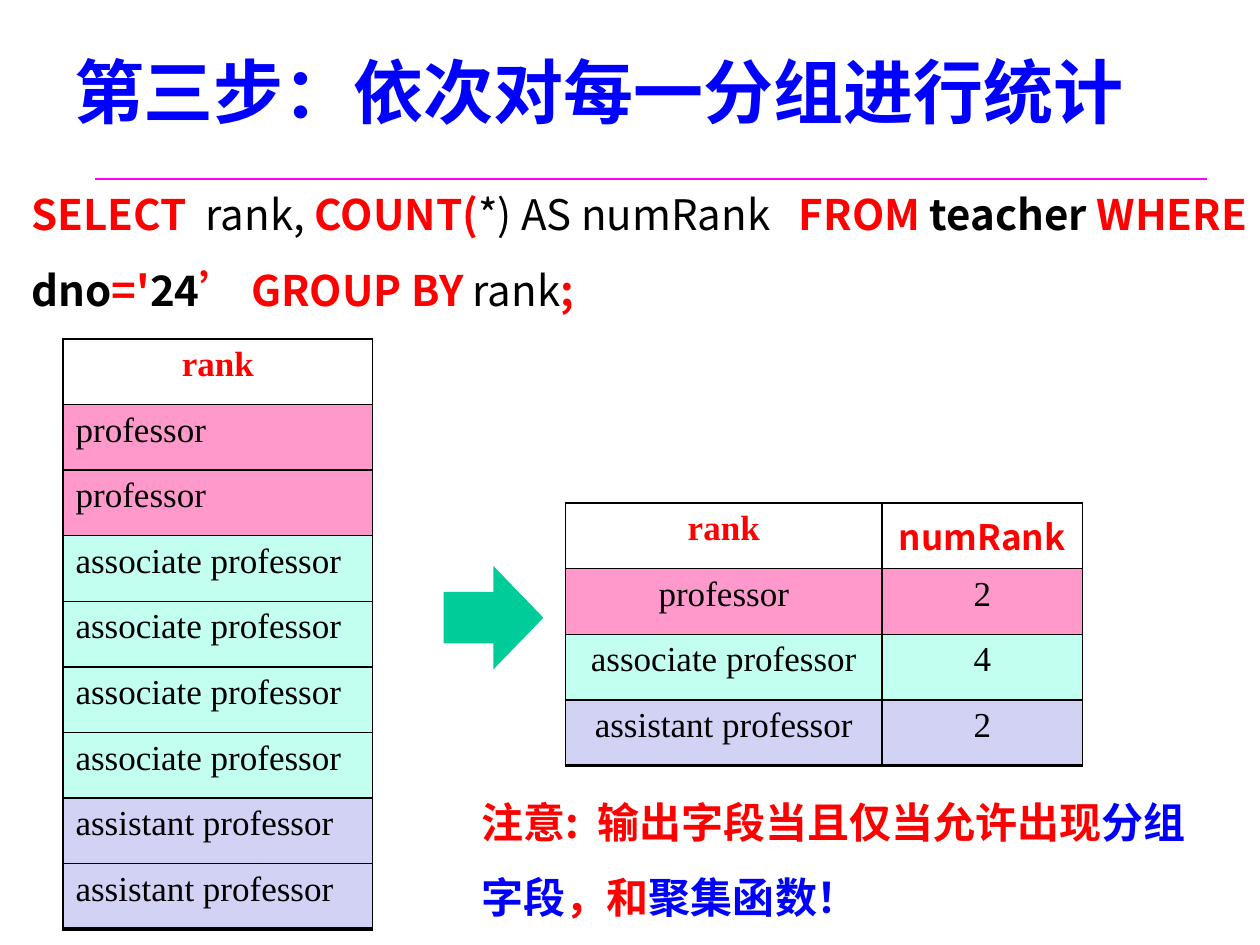
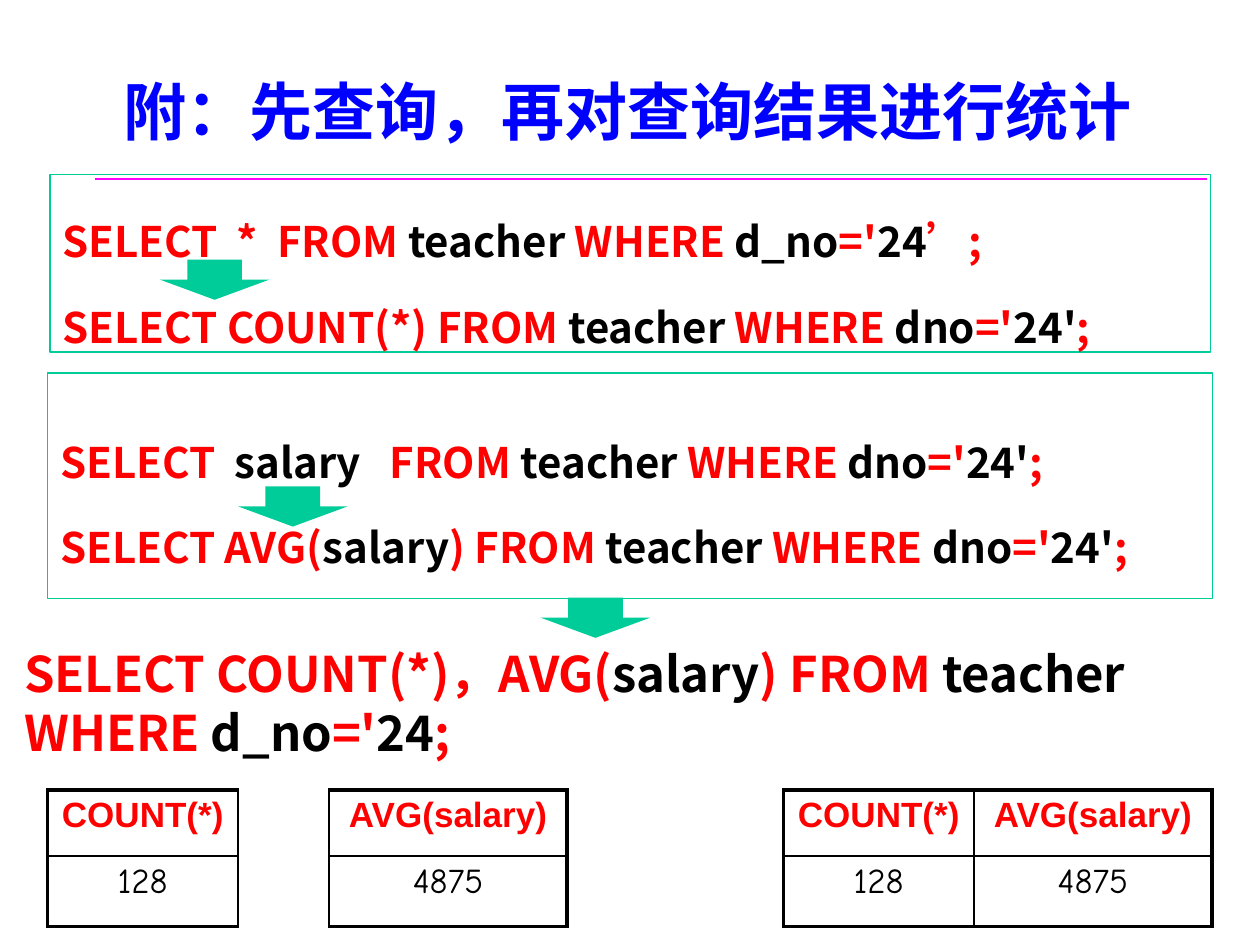
from lxml.etree import SubElement
from pptx import Presentation
from pptx.dml.color import RGBColor
from pptx.enum.shapes import MSO_CONNECTOR, MSO_SHAPE
from pptx.enum.text import MSO_ANCHOR, PP_ALIGN
from pptx.oxml.ns import qn
from pptx.util import Pt

RED = RGBColor(0xFF, 0x00, 0x00)
BLUE = RGBColor(0x00, 0x00, 0xFF)
BLACK = RGBColor(0x00, 0x00, 0x00)
WHITE = RGBColor(0xFF, 0xFF, 0xFF)
GREEN = RGBColor(0x00, 0xCC, 0x99)
MINT = RGBColor(0xC2, 0xFF, 0xF0)
PINK = RGBColor(0xFF, 0x99, 0xCC)
LILAC = RGBColor(0xD2, 0xD2, 0xF4)
MAGENTA = RGBColor(0xFF, 0x00, 0xFF)

SANS = "Noto Sans CJK SC"
SERIF = "Times New Roman"
ARIAL = "Arial"
COMIC = "Comic Neue"
THIN, THICK = 1, 2.25
RANKS = {"professor": (2, PINK), "associate professor": (4, MINT),
         "assistant professor": (2, LILAC)}


def style(para, size, face=SANS, bold=None, color=None):
    font = para.font
    font.size = Pt(size)
    font.name = face
    if bold is not None:
        font.bold = bold
    if color is not None:
        font.color.rgb = color
    props = para._p.pPr.find(qn("a:defRPr"))
    SubElement(props, qn("a:ea")).set("typeface", face)


def write(frame, lines, size, space=1.0, other=BLACK):
    frame.word_wrap = True
    frame.vertical_anchor = MSO_ANCHOR.TOP
    for i, line in enumerate(lines):
        para = frame.paragraphs[0] if i == 0 else frame.add_paragraph()
        para.alignment = PP_ALIGN.LEFT
        para.line_spacing = space
        parts = line.split("|")
        mixed = any(part.startswith("~") for part in parts)
        style(para, size, bold=None if mixed else True)
        for k, part in enumerate(parts):
            run = para.add_run()
            run.text = part.lstrip("~")
            run.font.color.rgb = other if k % 2 else RED
            if mixed:
                run.font.bold = not part.startswith("~")


def place(slide, box):
    return slide.shapes.add_textbox(*map(Pt, box))


def note(slide, box, lines, size, space=1.0, other=BLACK, top=3.6):
    frame = place(slide, box).text_frame
    frame.margin_top = Pt(top)
    write(frame, lines, size, space, other)


def panel(slide, box, lines, top=3.6):
    shape = slide.shapes.add_shape(MSO_SHAPE.RECTANGLE, *map(Pt, box))
    shape.shadow.inherit = False
    shape.fill.background()
    shape.line.color.rgb = GREEN
    shape.line.width = Pt(0.75)
    shape.text_frame.margin_top = Pt(top)
    write(shape.text_frame, lines, 24, 1.7)


def arrow(slide, kind, box):
    shape = slide.shapes.add_shape(kind, *map(Pt, box))
    shape.shadow.inherit = False
    shape.fill.solid()
    shape.fill.fore_color.rgb = GREEN
    shape.line.fill.background()


def header(slide, box, text, size):
    rule = slide.shapes.add_connector(
        MSO_CONNECTOR.STRAIGHT, Pt(54), Pt(102.4), Pt(690), Pt(102.4))
    rule.line.color.rgb = MAGENTA
    rule.line.width = Pt(1.5)
    SubElement(rule._element.spPr, qn("a:effectLst"))
    frame = place(slide, box).text_frame
    frame.word_wrap = True
    frame.vertical_anchor = MSO_ANCHOR.MIDDLE
    para = frame.paragraphs[0]
    para.text = text
    para.alignment = PP_ALIGN.CENTER
    style(para, size, bold=True, color=BLUE)


def border(cell, widths):
    props = cell._tc.get_or_add_tcPr()
    for i, (side, width) in enumerate(zip("LRTB", widths)):
        edge = props.makeelement(qn(f"a:ln{side}"), {"w": str(Pt(width))})
        props.insert(i, edge)
        fill = SubElement(edge, qn("a:solidFill"))
        SubElement(fill, qn("a:srgbClr")).set("val", str(BLACK))


def grid(slide, spot, wide, high, rows, fills, edges, faces,
         align=PP_ALIGN.CENTER):
    left, right, top, base = edges
    frame = slide.shapes.add_table(
        len(rows), len(wide), *map(Pt, (*spot, sum(wide), sum(high))))
    table = frame.table
    table.first_row = table.horz_banding = False
    for col, width in zip(table.columns, wide):
        col.width = Pt(width)
    for r, (row, fill) in enumerate(zip(rows, fills)):
        table.rows[r].height = Pt(high[r])
        for c, text in enumerate(row):
            cell = table.cell(r, c)
            if fill is None:
                cell.fill.background()
            else:
                cell.fill.solid()
                cell.fill.fore_color.rgb = fill
            border(cell, (left if c == 0 else THIN,
                          right if c == len(wide) - 1 else THIN,
                          top if r == 0 else THIN,
                          base if r == len(rows) - 1 else THIN))
            para = cell.text_frame.paragraphs[0]
            para.text = text
            para.space_before = Pt(1)
            head = r == 0
            para.alignment = PP_ALIGN.CENTER if head else align
            face = SANS if text == "numRank" else faces[0 if head else 1]
            style(para, 20, face, head, RED if head else BLACK)


def rank_grid(slide, spot, wide, rows, fills, align=PP_ALIGN.CENTER):
    grid(slide, spot, wide, [37.5] * len(rows), rows, [WHITE] + fills,
         (THIN, THIN, THIN, THICK), (SERIF, SERIF), align)


def sum_grid(slide, left, wide, rows, start=THICK, end=THICK):
    grid(slide, (left, 451.4), wide, (37.8, 40.2), rows, (None, None),
         (start, end, THICK, THICK), (ARIAL, COMIC))


def count_slide(slide):
    header(slide, (6, 6.5, 672, 90), "第三步：依次对每一分组进行统计", 40)
    query = ("SELECT  |~rank, |COUNT(|~*) AS numRank|   FROM |teacher |WHERE"
             "| dno|='|24|’ GROUP BY |~rank|;")
    note(slide, (10.8, 60, 722, 240), [query], 24, 1.5, top=33.4)
    names = [name for name, (count, _) in RANKS.items() for _ in range(count)]
    rank_grid(slide, (36, 193.7), [177], [["rank"]] + [[n] for n in names],
              [RANKS[n][1] for n in names], PP_ALIGN.LEFT)
    arrow(slide, MSO_SHAPE.RIGHT_ARROW, (253.5, 323.5, 57, 59))
    rank_grid(slide, (323.2, 287.5), [180.8, 114.6],
              [["rank", "numRank"]] + [[n, str(v[0])] for n, v in RANKS.items()],
              [v[1] for v in RANKS.values()])
    note(slide, (267.8, 437, 431.3, 94.3),
         ["注意:  输出字段当且仅当允许出现|分组字段|，和|聚集函数！"],
         24, 1.5, BLUE)


def query_slide(slide):
    header(slide, (6.5, 18, 704, 90), "附：先查询，再对查询结果进行统计", 36)
    where = "teacher |WHERE| dno|='|24'|;"
    panel(slide, (27.2, 213.1, 665.5, 128.9),
          ["SELECT  |salary|   FROM |" + where,
           "SELECT AVG(|salary|) FROM |" + where], 16)
    count, mean = ("COUNT(*)", "128"), ("AVG(salary)", "4875")
    sum_grid(slide, 447.8, [108.7, 136.1], list(zip(count, mean)))
    sum_grid(slide, 27.2, [108.7], list(zip(count)), end=THIN)
    sum_grid(slide, 188, [136.1], list(zip(mean)), start=THIN)
    for left, top in ((91.4, 148.3), (136.1, 277.9), (309, 341.5)):
        arrow(slide, MSO_SHAPE.DOWN_ARROW, (left, top, 62.5, 23))
    panel(slide, (28.6, 99.6, 663, 101.5),
          ["SELECT  *  FROM |teacher |WHERE| d_no|='|24|’;",
           "SELECT COUNT(*) FROM |" + where])
    note(slide, (6.8, 364.3, 694, 75),
         ["SELECT COUNT(*)，AVG(|salary|) FROM |teacher |WHERE| d_no|='|24|;"],
         28)


def main():
    deck = Presentation()
    deck.slide_width, deck.slide_height = Pt(720), Pt(540)
    for build in (count_slide, query_slide):
        build(deck.slides.add_slide(deck.slide_layouts[6]))
    deck.save("out.pptx")


if __name__ == "__main__":
    main()
